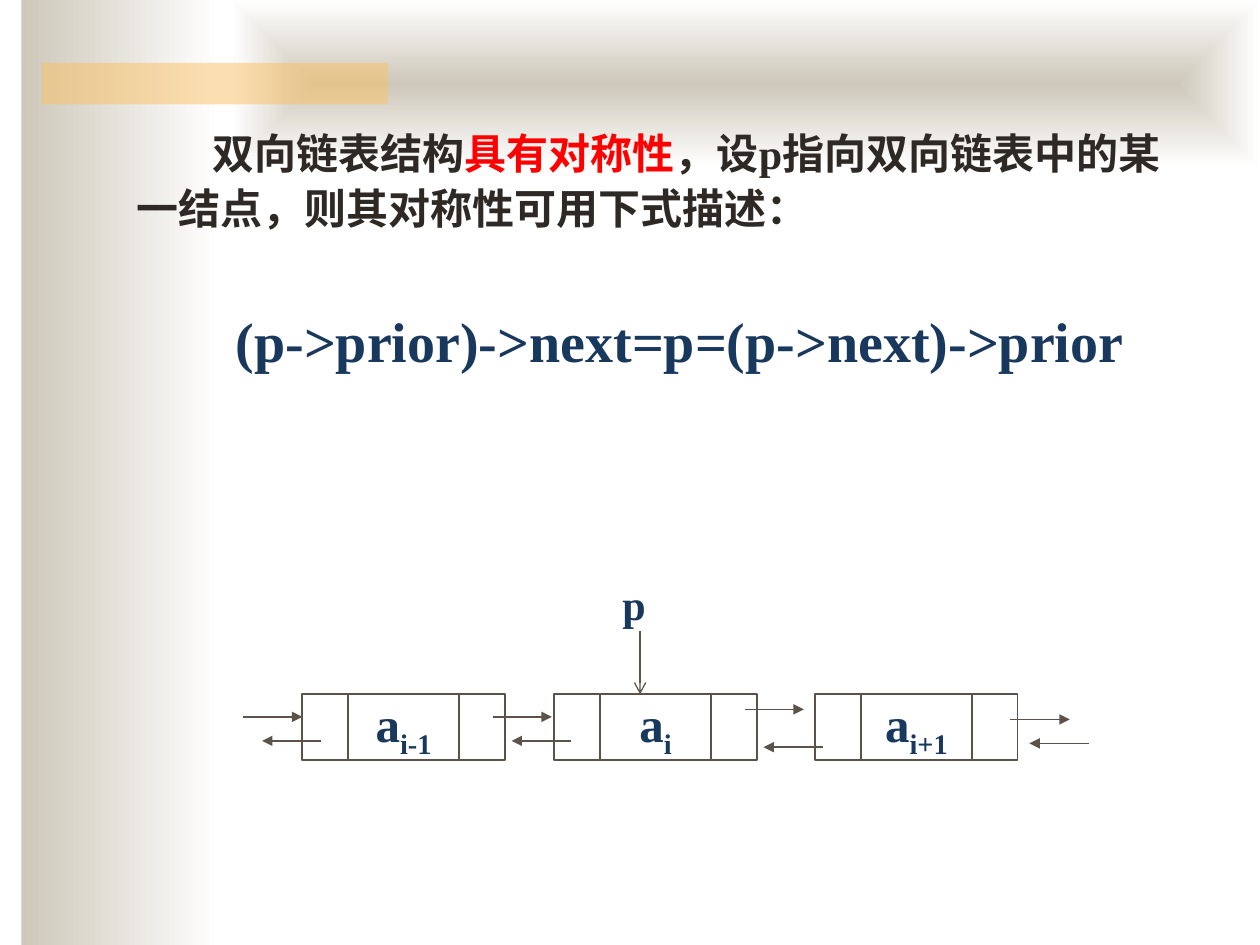
import typing
from dataclasses import dataclass

import lxml.etree
import pptx
import pptx.dml.color
import pptx.enum.dml
import pptx.enum.shapes
import pptx.enum.text
import pptx.oxml
import pptx.oxml.ns
import pptx.util

RGBColor = pptx.dml.color.RGBColor
STONE = RGBColor(0xCE, 0xC8, 0xBA)
WHITE = RGBColor(0xFF, 0xFF, 0xFF)
AMBER = RGBColor(0xFA, 0xC1, 0x64)
INK = RGBColor(0x2E, 0x29, 0x25)
RED = RGBColor(0xFF, 0x00, 0x00)
NAVY = RGBColor(0x19, 0x38, 0x5D)
BROWN = RGBColor(0x5B, 0x52, 0x49)

# The page is a grid of 100 columns and 75 rows
WIDTH, HEIGHT = pptx.util.Inches(10), pptx.util.Inches(7.5)
COLUMNS, ROWS = 100, 75
FONT = "Times New Roman"
POINTER, DATA = 3.63, 8.8  # columns taken by the parts of a node
NODE_TOP, NODE_HEIGHT = 55.1, 5.2
ARROW_LENGTH = 4.7


@dataclass
class Node:
    left: float
    subscript: str


@dataclass
class Arrow:
    start: float
    row: float
    direction: int  # 1 points right, -1 points left


NODES = [Node(24.0, "i-1"), Node(44.0, "i"), Node(64.7, "i+1")]
ARROWS = [
    Arrow(19.3, 56.9, 1), Arrow(39.1, 56.9, 1),
    Arrow(59.1, 56.3, 1), Arrow(80.2, 57.1, 1),
    Arrow(25.5, 58.8, -1), Arrow(45.3, 58.8, -1),
    Arrow(65.3, 59.3, -1), Arrow(86.4, 59.0, -1),
]


def across(columns: float) -> int:
    return round(WIDTH * columns / COLUMNS)


def down(rows: float) -> int:
    return round(HEIGHT * rows / ROWS)


def apply(target: typing.Any, values: dict) -> None:
    for name, value in values.items():
        setattr(target, name, value)


def add_xml(parent: typing.Any, tag: str, **attributes: str) -> typing.Any:
    child = lxml.etree.SubElement(parent, pptx.oxml.ns.qn(tag))
    for name, value in attributes.items():
        child.set(name, value)
    return child


def add_span(para, text: str, size: float, color: RGBColor):
    span = para.add_run()
    span.text = text
    apply(span.font, {"name": FONT, "size": pptx.util.Pt(size), "bold": True})
    span.font.color.rgb = color
    return span


def add_box(page, left: float, top: float, width: float, height: float):
    box = page.shapes.add_shape(
        pptx.enum.shapes.MSO_SHAPE.RECTANGLE,
        across(left), down(top), across(width), down(height))
    box.shadow.inherit = False
    box.fill.background()
    box.line.fill.background()
    return box


def fill_gradient(box) -> None:
    box.fill.gradient()
    box.fill.gradient_angle = 0
    for stop, color, position in zip(box.fill.gradient_stops, (STONE, WHITE), (0, 1)):
        stop.color.rgb = color
        stop.position = position


def add_arrow(page, start: tuple, end: tuple, weight: float, head: str) -> None:
    arrow = page.shapes.add_connector(
        pptx.enum.shapes.MSO_CONNECTOR.STRAIGHT,
        across(start[0]), down(start[1]), across(end[0]), down(end[1]))
    arrow.line.color.rgb = BROWN
    arrow.line.width = pptx.util.Pt(weight)
    add_xml(arrow.line.fill._xPr, "a:tailEnd", type=head)
    add_xml(arrow._element.spPr, "a:effectLst")


def add_node(page, node: Node) -> None:
    left = node.left
    for width in (POINTER, DATA, POINTER):
        cell = add_box(page, left, NODE_TOP, width, NODE_HEIGHT)
        cell.line.color.rgb = BROWN
        cell.line.width = pptx.util.Pt(1)
        left += width
        if width == DATA:
            apply(cell.text_frame, {
                "word_wrap": False,
                "vertical_anchor": pptx.enum.text.MSO_ANCHOR.MIDDLE})
            para = cell.text_frame.paragraphs[0]
            para.alignment = pptx.enum.text.PP_ALIGN.CENTER
            add_span(para, "a", 28, NAVY)
            index = add_span(para, node.subscript, 28, NAVY)
            index.font._element.set("baseline", "-25000")


def add_background(page) -> None:
    fill_gradient(add_box(page, 1.7, 0, 15.8, ROWS))

    # Top band shades from its centre outwards
    band = add_box(page, 18.3, 0, 81.7, 13.3)
    fill_gradient(band)
    gradient = band._element.spPr.find(pptx.oxml.ns.qn("a:gradFill"))
    gradient.remove(gradient.find(pptx.oxml.ns.qn("a:lin")))
    shade = add_xml(gradient, "a:path", path="shape")
    add_xml(shade, "a:fillToRect", l="50000", t="50000", r="50000", b="50000")

    # Half-transparent accent bar
    bar = add_box(page, 3.3, 5, 27.5, 3.3)
    bar.fill.solid()
    bar.fill.fore_color.rgb = AMBER
    color = bar._element.spPr.find(".//" + pptx.oxml.ns.qn("a:srgbClr"))
    add_xml(color, "a:alpha", val="50000")


def format_para(para, margin: float, indent: float, before: float) -> None:
    apply(para, {"line_spacing": 1.1, "space_before": pptx.util.Pt(before),
                 "alignment": pptx.enum.text.PP_ALIGN.LEFT})
    properties = para._p.get_or_add_pPr()
    properties.set("marL", str(across(margin)))
    properties.set("indent", str(across(indent)))
    add_xml(properties, "a:buNone")


def write_body(body) -> None:
    apply(body, {"left": across(9.8), "top": down(9.2),
                 "width": across(85.8), "height": down(31.5)})
    frame = body.text_frame
    apply(frame, {"word_wrap": True,
                  "auto_size": pptx.enum.text.MSO_AUTO_SIZE.NONE,
                  "vertical_anchor": pptx.enum.text.MSO_ANCHOR.TOP})
    intro = frame.paragraphs[0]
    format_para(intro, 0, 6.1, 4.8)
    add_span(intro, "双向链表结构", 24, INK)
    add_span(intro, "具有对称性", 24, RED)
    add_span(intro, "，设p指向双向链表中的某一结点，则其对称性可用下式描述：", 24, INK)
    formula = frame.add_paragraph()
    formula.level = 1
    format_para(formula, 7.9, 0, 38)
    add_span(formula, "(p->prior)->next=p=(p->next)->prior", 32, NAVY)


def main() -> None:
    deck = pptx.Presentation()
    apply(deck, {"slide_width": WIDTH, "slide_height": HEIGHT})
    page = deck.slides.add_slide(deck.slide_layouts[1])
    title, body = page.placeholders
    title._element.getparent().remove(title._element)

    add_background(page)
    write_body(body)
    # Bring the text in front of the background
    page.shapes._spTree.append(body._element)

    # Linked nodes and their pointers
    for node in NODES:
        add_node(page, node)
    for arrow in ARROWS:
        end = arrow.start + arrow.direction * ARROW_LENGTH
        add_arrow(page, (arrow.start, arrow.row), (end, arrow.row), 1, "triangle")

    # Pointer p to the middle node
    add_arrow(page, (50.8, 50.1), (50.8, NODE_TOP), 0.75, "arrow")
    label = page.shapes.add_textbox(across(47.6), down(45.4), across(6.3), down(5))
    apply(label.text_frame, {"word_wrap": True, "margin_left": across(1.8)})
    add_span(label.text_frame.paragraphs[0], "p", 24, NAVY)
    deck.save("out.pptx")


if __name__ == "__main__":
    main()
